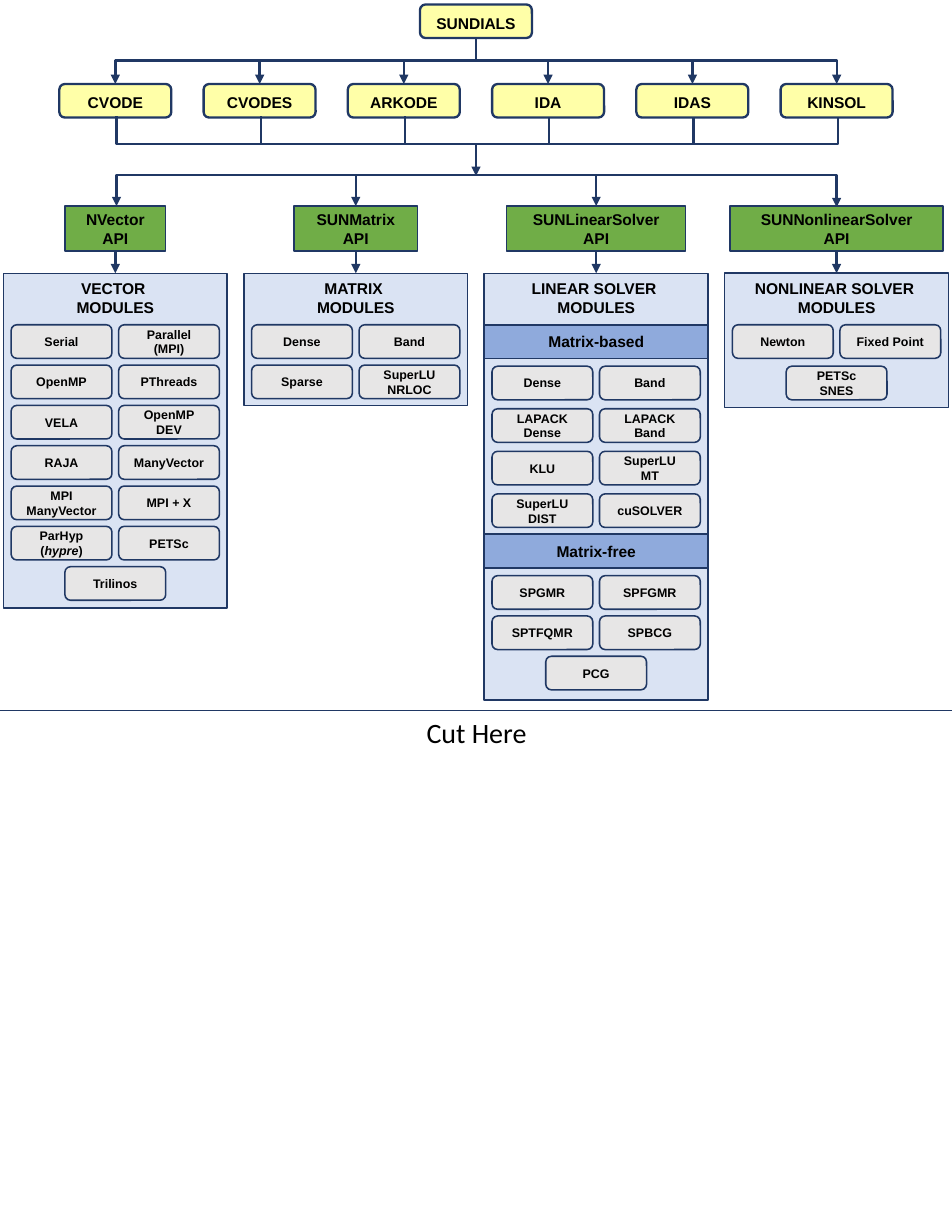
"""Build the SUNDIALS solver and module structure chart."""
from lxml.etree import SubElement
from pptx import Presentation
from pptx.dml.color import RGBColor
from pptx.enum.shapes import MSO_CONNECTOR, MSO_SHAPE
from pptx.enum.text import MSO_ANCHOR, PP_ALIGN
from pptx.oxml.ns import qn
from pptx.util import Inches, Pt

COLORS = {
    "ink": "000000", "navy": "203864", "solver": "FFFF00", "api": "70AD47",
    "panel": "DAE3F3", "band": "8FAADC", "module": "E7E6E6",
}


def add_box(parent, kind, left, top, width, height, text, size=10):
    """Add a filled, outlined box; asterisks enclose italic text."""
    rounded = kind in ("solver", "module")
    preset = MSO_SHAPE.ROUNDED_RECTANGLE if rounded else MSO_SHAPE.RECTANGLE
    box = parent.add_shape(preset, Inches(left), Inches(top), Inches(width), Inches(height))
    box.shadow.inherit = False
    box.fill.solid()
    box.fill.fore_color.rgb = RGBColor.from_string(COLORS[kind])
    box.line.color.rgb = RGBColor.from_string(COLORS["navy"])
    box.line.width = Pt(1.5 if kind == "solver" else 1)
    frame = box.text_frame
    frame.word_wrap = True
    frame.vertical_anchor = MSO_ANCHOR.TOP if kind == "panel" else MSO_ANCHOR.MIDDLE
    for index, line in enumerate(text.split("\n")):
        paragraph = frame.add_paragraph() if index else frame.paragraphs[0]
        paragraph.alignment = PP_ALIGN.CENTER
        if kind == "solver":
            paragraph.line_spacing = 1.2
        for part, words in enumerate(line.split("*")):
            span = paragraph.add_run()
            span.text = words
            span.font.name = "Arial"
            span.font.size = Pt(size)
            span.font.bold = True
            span.font.italic = part % 2 == 1
            span.font.color.rgb = RGBColor.from_string(COLORS["ink"])
    if kind == "solver":
        color = box.fill._xPr.find(qn("a:solidFill"))[0]
        SubElement(color, qn("a:alpha")).set("val", "34000")


def add_line(start, end, bend=None, ends=("tailEnd",), weight=1.5):
    """Add a line, or a vertical elbow whose crossbar lies at height bend."""
    (x1, y1), (x2, y2) = start, end
    kind = MSO_CONNECTOR.STRAIGHT if bend is None else MSO_CONNECTOR.ELBOW
    line = page.shapes.add_connector(kind, Inches(x1), Inches(y1), Inches(x2), Inches(y2))
    line.line.color.rgb = RGBColor.from_string(COLORS["navy"])
    line.line.width = Pt(weight)
    properties = line._element.spPr
    for name in ends:
        SubElement(line.line._get_or_add_ln(), qn("a:" + name)).set("type", "triangle")
    SubElement(properties, qn("a:effectLst"))
    if bend is not None:
        rise, run = y2 - y1, abs(x2 - x1)
        line.left, line.top = Inches((x1 + x2 - rise) / 2), Inches((y1 + y2 - run) / 2)
        line.width, line.height = Inches(rise), Inches(run)
        frame = properties.find(qn("a:xfrm"))
        frame.set("rot", "16200000" if x2 > x1 else "5400000")
        frame.set("flipH", "1" if x2 > x1 else "0")
        guide = SubElement(properties.find(qn("a:prstGeom")).find(qn("a:avLst")), qn("a:gd"))
        guide.set("name", "adj1")
        guide.set("fmla", f"val {round((bend - y1) / rise * 100000)}")


deck = Presentation()
deck.slide_width, deck.slide_height = Inches(8.5), Inches(11)
page = deck.slides.add_slide(deck.slide_layouts[6])

MIDDLE = 4.25
FIRST_CENTER, LAST_CENTER = 1.03, 7.47
SPREAD = LAST_CENTER - FIRST_CENTER
SOLVERS = ["CVODE", "CVODES", "ARKODE", "IDA", "IDAS", "KINSOL"]
solver_centers = [FIRST_CENTER + SPREAD * index / 5 for index in range(len(SOLVERS))]

add_box(page.shapes, "solver", 3.75, 0.04, 1, 0.3, "SUNDIALS")
for name, center in zip(SOLVERS, solver_centers):
    add_line((MIDDLE, 0.34), (center, 0.75), bend=0.54)
    add_box(page.shapes, "solver", center - 0.5, 0.75, 1, 0.3, name)
for left, right in zip(solver_centers[:3], solver_centers[:2:-1]):
    add_line((left + 0.01, 1.04), (right + 0.01, 1.05), bend=1.29, ends=())
add_line((MIDDLE, 1.29), (MIDDLE, 1.57))
add_line((1.04, 1.84), (LAST_CENTER, 1.85), bend=1.56, ends=("headEnd", "tailEnd"))

COLUMNS = [
    ("NVector", 0.9, "VECTOR", 2.99, [], [
        (2.9, 0.36, ["Serial", "Parallel (MPI)", "OpenMP", "PThreads", "VELA", "OpenMP DEV",
                     "RAJA", "ManyVector", "MPI ManyVector", "MPI + X",
                     "ParHyp\n(*hypre*)", "PETSc", "Trilinos"])]),
    ("SUNMatrix", 1.1, "MATRIX", 1.18, [], [
        (2.9, 0.36, ["Dense", "Band", "Sparse", "SuperLU NRLOC"])]),
    ("SUNLinearSolver", 1.6, "LINEAR SOLVER", 3.81,
     [(2.9, "Matrix-based"), (4.77, "Matrix-free")], [
        (3.27, 0.38, ["Dense", "Band", "LAPACK Dense", "LAPACK Band", "KLU", "SuperLU\nMT",
                      "SuperLU\nDIST", "cuSOLVER"]),
        (5.14, 0.36, ["SPGMR", "SPFGMR", "SPTFQMR", "SPBCG", "PCG"])]),
    ("SUNNonlinearSolver", 1.9, "NONLINEAR SOLVER", 1.2, [], [
        (2.9, 0.37, ["Newton", "Fixed Point", "PETSc SNES"])]),
]

for column, (api, api_width, heading, height, bands, groups) in enumerate(COLUMNS):
    center = FIRST_CENTER + SPREAD * column / 3
    left = center - 1
    if column in (1, 2):
        add_line((center, 1.57), (center, 1.84))
    add_box(page.shapes, "api", center - api_width / 2, 1.84, api_width, 0.4, api + "\nAPI")
    panel = page.shapes.add_group_shape().shapes
    add_box(panel, "panel", left, 2.44, 2, height, heading + " \nMODULES")
    for top, title in bands:
        add_box(panel, "band", left, top, 2, 0.3, title)
    for top, pitch, modules in groups:
        for index, module in enumerate(modules):
            row, side = divmod(index, 2)
            alone = side == 0 and index == len(modules) - 1
            offset = 0.55 if alone else (0.07, 1.03)[side]
            add_box(panel, "module", left + offset, top + row * pitch, 0.9, 0.3, module, size=8)
    add_line((center, 2.24), (center, 2.44))

add_line((0, 6.34), (8.5, 6.34), ends=(), weight=0.5)
caption = page.shapes.add_textbox(Inches(3.03), Inches(6.34), Inches(2.45), Inches(0.4))
caption.text_frame.word_wrap = True
caption.text_frame.text = "Cut Here"
paragraph = caption.text_frame.paragraphs[0]
paragraph.alignment = PP_ALIGN.CENTER
span = paragraph.runs[0]
span.font.name = "Calibri"
span.font.size = Pt(18)
span.font.color.rgb = RGBColor.from_string(COLORS["ink"])

deck.save("out.pptx")
